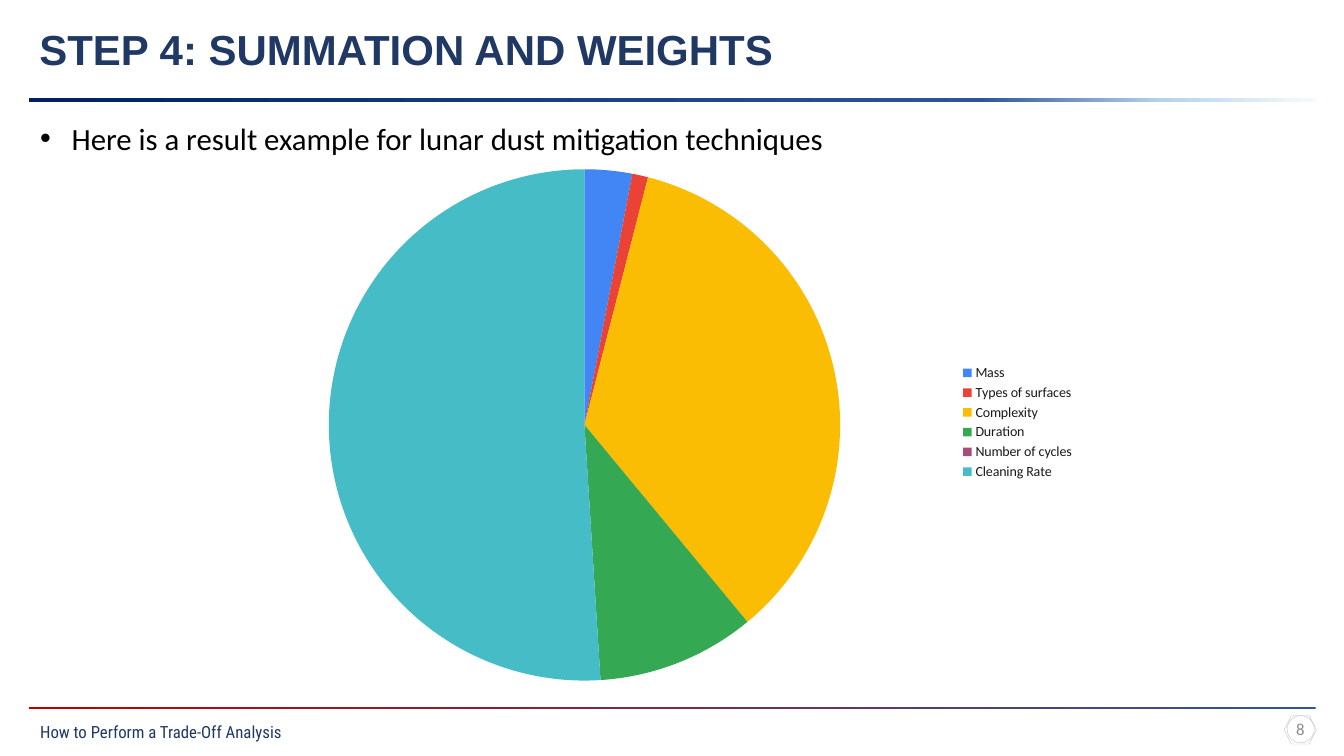
"""Build the trade-off analysis slide with its weights pie chart."""
from dataclasses import dataclass

from lxml.etree import SubElement
from pptx import Presentation
from pptx.chart.data import CategoryChartData
from pptx.dml.color import RGBColor
from pptx.enum.chart import XL_CHART_TYPE as ChartType, XL_LEGEND_POSITION as LegendPosition
from pptx.enum.shapes import MSO_SHAPE as Preset
from pptx.enum.text import MSO_ANCHOR as Anchor, PP_ALIGN as Align
from pptx.oxml.ns import qn
from pptx.util import Pt


@dataclass(frozen=True)
class Theme:
    """Colours, fonts and type sizes of the slide."""
    navy: str = "203864"
    black: str = "000000"
    gray: str = "8C8C8C"
    outline: str = "BFBFBF"
    legend: str = "1A1A1A"
    heading: str = "Arial"
    body: str = "Calibri"
    footer: str = "Roboto Condensed"
    title_size: int = 30
    body_size: int = 22
    small_size: int = 12
    chart_size: int = 10
    header_fade: tuple = ((0, "F7FAFD"), (12, "B5D2EC"), (26, "2F5597"), (100, "002060"))
    footer_fade: tuple = ((0, "2F5597"), (100, "C00000"))


THEME = Theme()
WEIGHTS = (
    ("Mass", 3, "4285F4"),
    ("Types of surfaces", 1, "EA4335"),
    ("Complexity", 35, "FBBC04"),
    ("Duration", 10, "34A853"),
    ("Number of cycles", 0, "A64D79"),
    ("Cleaning Rate", 51, "46BDC6"),
)


def style_font(font, face, size, color, bold=False):
    """Set face, size, colour and weight of a font."""
    font.name, font.size, font.bold = face, Pt(size), bold
    font.color.rgb = RGBColor.from_string(color)


def add_text(page, text, left, top, width, height, *, face=THEME.body, size=THEME.small_size,
             color=THEME.black, bold=False, align=Align.LEFT, anchor=Anchor.TOP,
             wrap=True, bullet_indent=0):
    """Add a one-paragraph text box, with a bullet when an indent is given."""
    box = page.shapes.add_textbox(Pt(left), Pt(top), Pt(width), Pt(height))
    frame = box.text_frame
    frame.word_wrap, frame.vertical_anchor = wrap, anchor
    para = frame.paragraphs[0]
    para.alignment = align
    if bullet_indent:
        settings = para._p.get_or_add_pPr()
        settings.set("marL", str(Pt(bullet_indent)))
        settings.set("indent", str(-Pt(bullet_indent)))
        SubElement(settings, qn("a:buFont")).set("typeface", "Arial")
        SubElement(settings, qn("a:buChar")).set("char", "•")
    span = para.add_run()
    span.text = text
    style_font(span.font, face, size, color, bold)


def add_rule(page, top, height, stops):
    """Add a thin full-width bar that fades from right to left."""
    rule = page.shapes.add_shape(Preset.RECTANGLE, Pt(21), Pt(top), Pt(918.7), Pt(height))
    rule.shadow.inherit = False
    rule.line.fill.background()
    rule.fill.gradient()
    rule.fill.gradient_angle = 180
    stop_list = next(rule._element.iter(qn("a:gsLst")))
    for stop in list(stop_list):
        stop_list.remove(stop)
    for position, color in stops:
        stop = SubElement(stop_list, qn("a:gs"), pos=str(position * 1000))
        SubElement(stop, qn("a:srgbClr"), val=color)


def add_outline(page, preset, left, top, width, height):
    """Add an unfilled shape with a hairline border."""
    outline = page.shapes.add_shape(preset, Pt(left), Pt(top), Pt(width), Pt(height))
    outline.shadow.inherit = False
    outline.fill.background()
    outline.line.color.rgb = RGBColor.from_string(THEME.outline)
    outline.line.width = Pt(0.25)


def place_plot(chart, **fractions):
    """Fix the inner plot area at fractions of the chart frame."""
    area = chart._chartSpace.chart.plotArea
    for old in area.findall(qn("c:layout")):
        area.remove(old)
    layout = SubElement(area, qn("c:layout"))
    area.insert(0, layout)
    manual = SubElement(layout, qn("c:manualLayout"))
    settings = {"layoutTarget": "inner", "xMode": "edge", "yMode": "edge", **fractions}
    for name, value in settings.items():
        SubElement(manual, qn(f"c:{name}"), val=str(value))


def add_pie(page, left, top, width, height):
    """Add the pie of criterion weights with a legend on the right."""
    names, values, colors = zip(*WEIGHTS)
    data = CategoryChartData()
    data.categories = names
    data.add_series("Series 1", values)
    chart = page.shapes.add_chart(ChartType.PIE, Pt(left), Pt(top), Pt(width), Pt(height),
                                  data).chart
    style_font(chart.font, THEME.body, THEME.chart_size, THEME.black)
    chart.has_title = False
    chart.has_legend = True
    chart.legend.position = LegendPosition.RIGHT
    chart.legend.include_in_layout = False
    style_font(chart.legend.font, THEME.body, THEME.chart_size, THEME.legend)
    plot = chart.plots[0]
    plot.vary_by_categories = True
    for index, color in enumerate(colors):
        slice_format = plot.series[0].points[index].format
        slice_format.fill.solid()
        slice_format.fill.fore_color.rgb = RGBColor.from_string(color)
        slice_format.line.fill.background()
    place_plot(chart, x=0.13, y=0.03, w=0.59, h=0.95)


def main():
    """Build the slide and save the deck."""
    deck = Presentation()
    deck.slide_width, deck.slide_height = Pt(960), Pt(540)
    page = deck.slides.add_slide(deck.slide_layouts[6])
    add_text(page, "STEP 4: SUMMATION AND WEIGHTS", 21, 13, 544, 44, face=THEME.heading,
             size=THEME.title_size, color=THEME.navy, bold=True, wrap=False)
    add_rule(page, 70, 2.9, THEME.header_fade)
    add_rule(page, 505.3, 1.1, THEME.footer_fade)
    add_text(page, "How to Perform a Trade-Off Analysis", 21.6, 512, 188, 21.6,
             face=THEME.footer, color=THEME.navy, wrap=False)
    add_text(page, "8", 904.3, 506.2, 49, 28.8, color=THEME.gray,
             align=Align.CENTER, anchor=Anchor.MIDDLE)
    add_outline(page, Preset.HEXAGON, 917.3, 511.2, 23, 20.2)
    add_outline(page, Preset.OVAL, 919.4, 511.2, 19.4, 19.4)
    add_text(page, "Here is a result example for lunar dust mitigation techniques",
             21.6, 82, 916.6, 34, size=THEME.body_size, bullet_indent=22.5)
    add_pie(page, 153.4, 109.4, 621.4, 384.5)
    deck.save("out.pptx")


if __name__ == "__main__":
    main()
